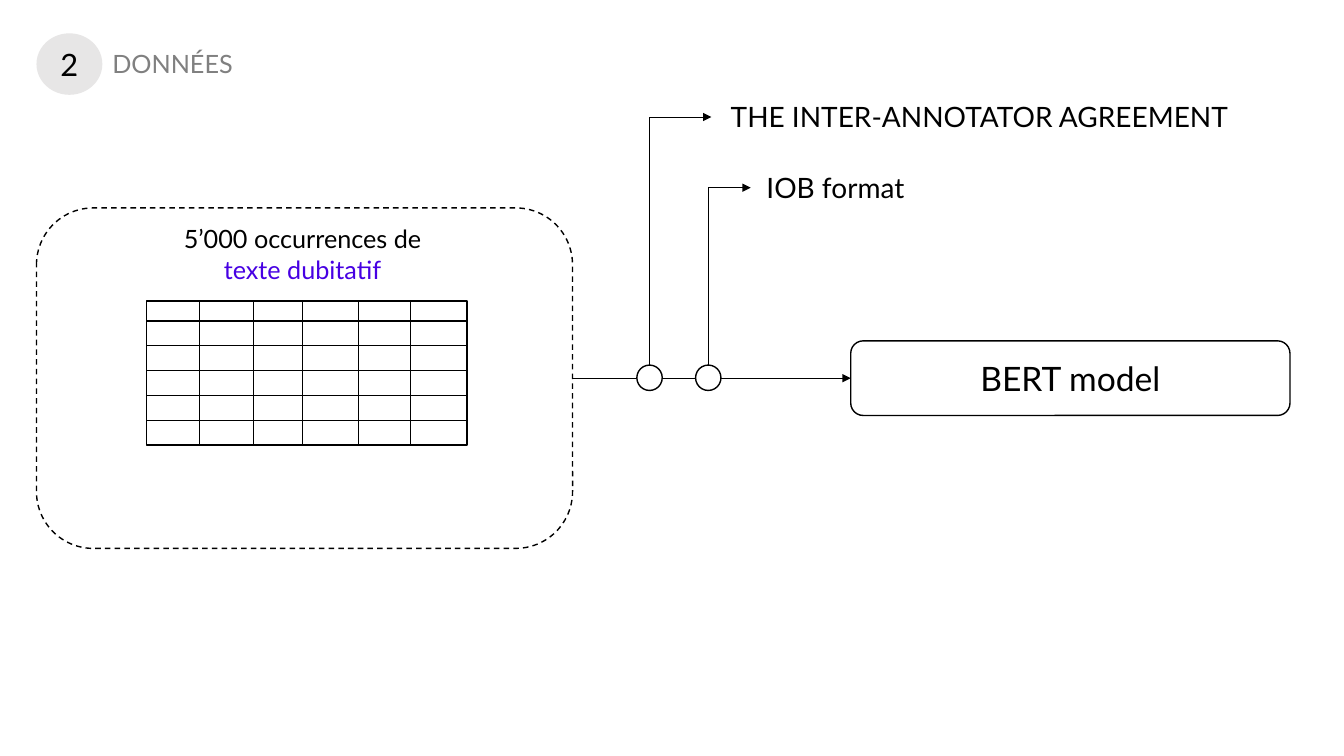
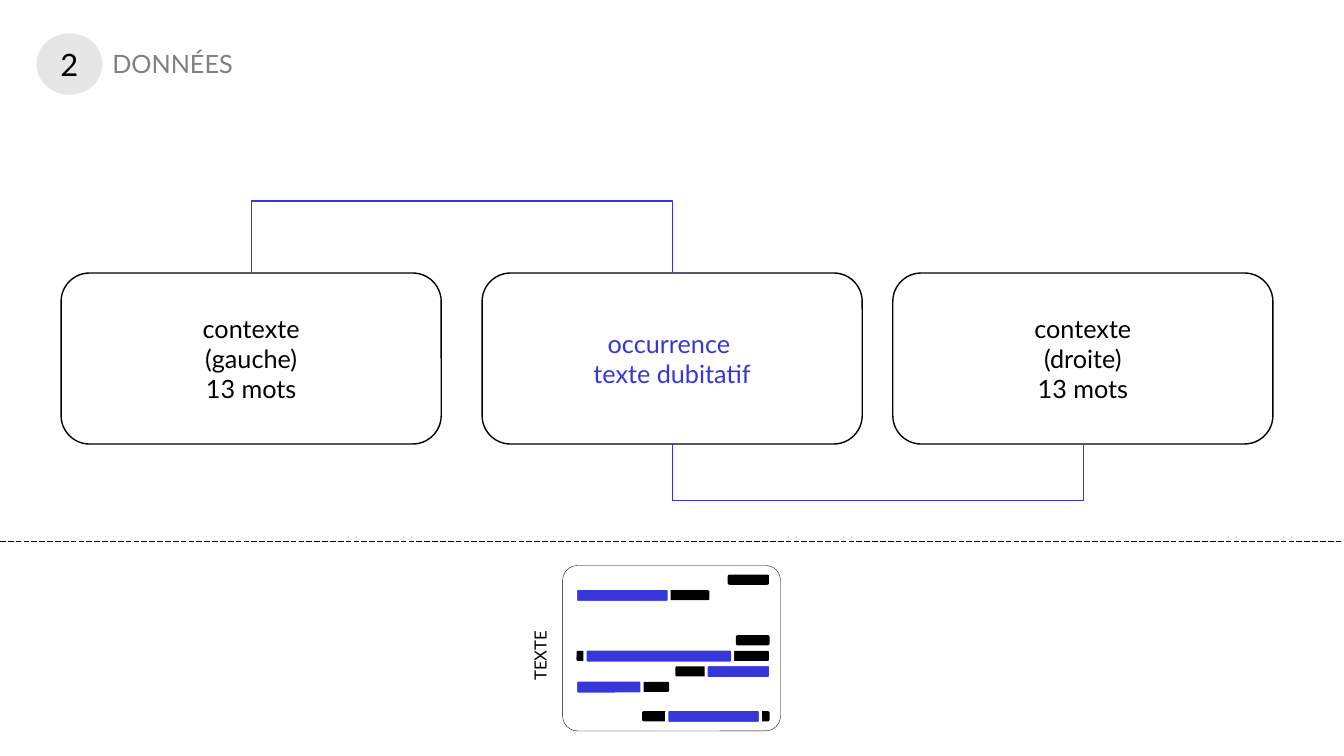
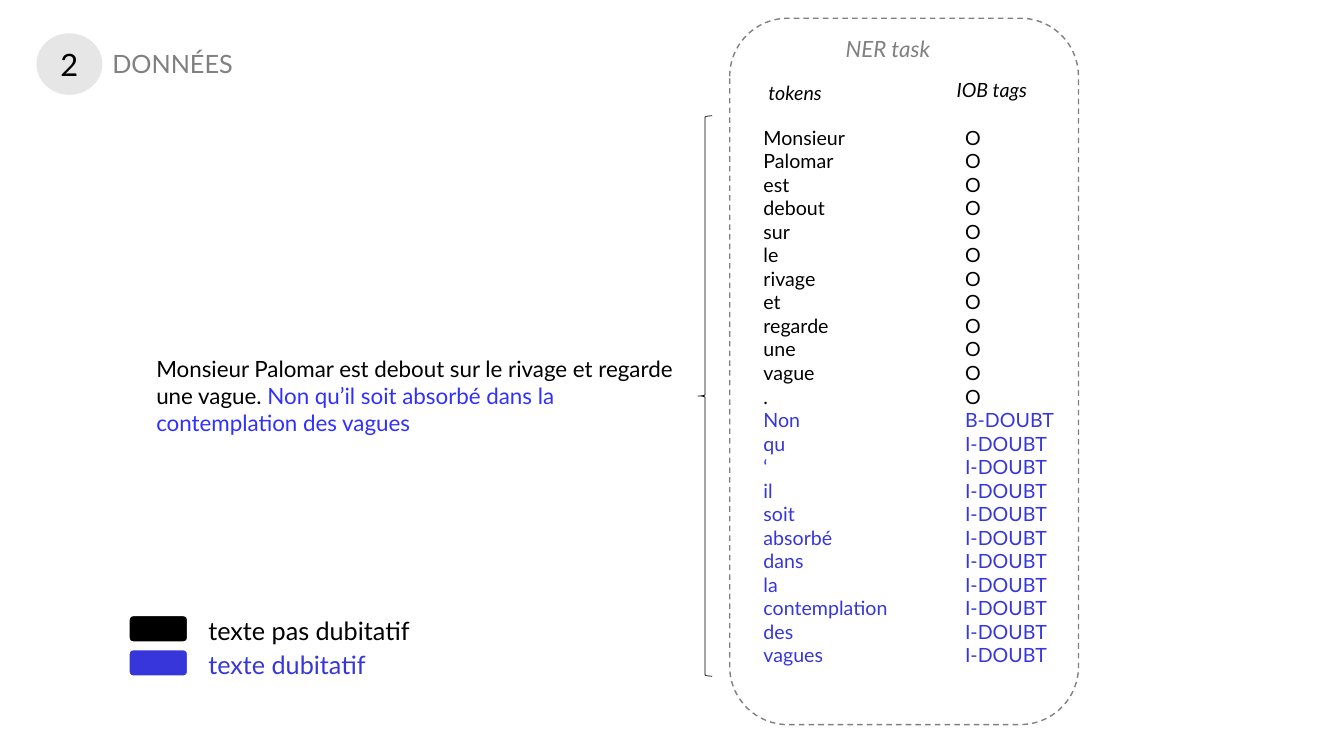
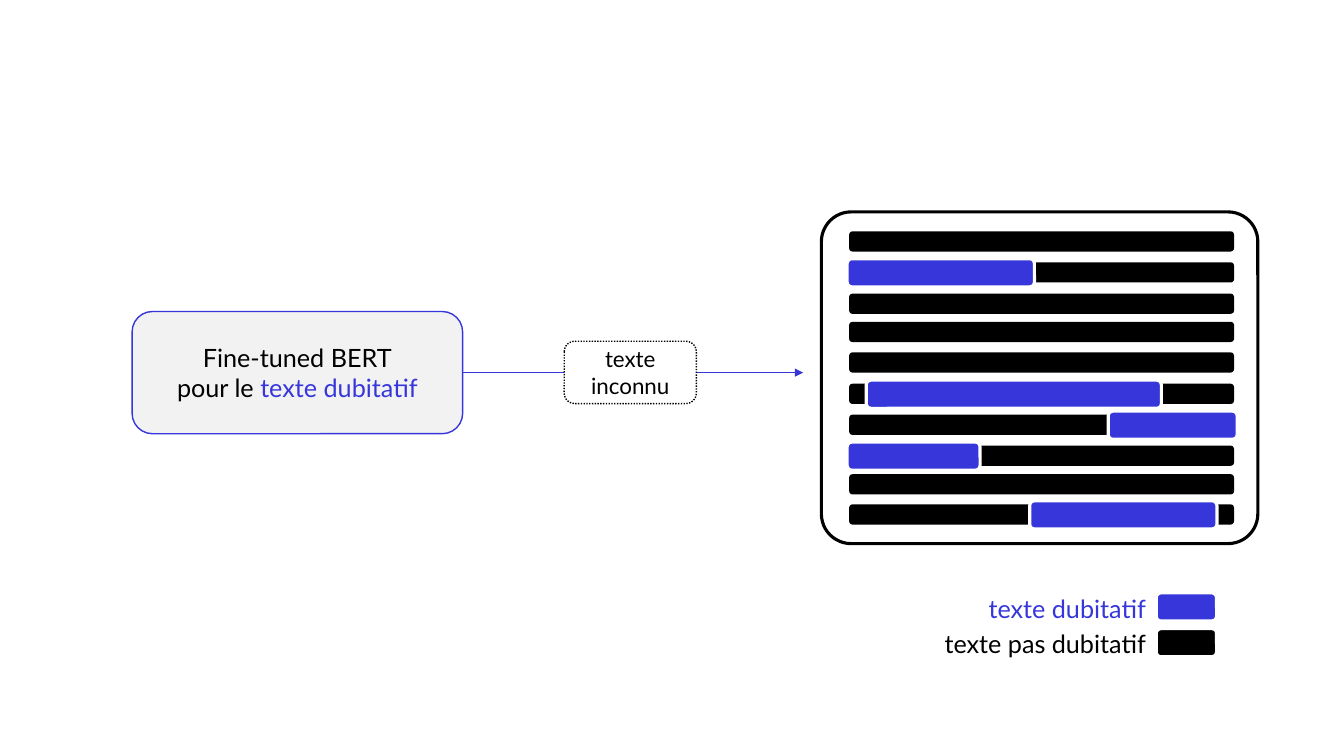
from lxml.etree import SubElement
from pptx import Presentation
from pptx.dml.color import RGBColor
from pptx.enum.dml import MSO_LINE
from pptx.enum.shapes import MSO_CONNECTOR, MSO_SHAPE
from pptx.enum.text import PP_ALIGN
from pptx.oxml.ns import qn
from pptx.util import Cm, Pt

BLACK = RGBColor(0x00, 0x00, 0x00)
WHITE = RGBColor(0xFF, 0xFF, 0xFF)
GREY = RGBColor(0x80, 0x80, 0x80)
DISC = RGBColor(0xE7, 0xE6, 0xE6)
PALE = RGBColor(0xF2, 0xF2, 0xF2)
BLUE = RGBColor(0x36, 0x36, 0xDB)
VIOLET = RGBColor(0x47, 0x00, 0xE3)
BRIGHT = RGBColor(0x30, 0x30, 0xFF)
FONT = "Lato"
ROUND, OVAL, RECT = MSO_SHAPE.ROUNDED_RECTANGLE, MSO_SHAPE.OVAL, MSO_SHAPE.RECTANGLE
STRAIGHT, ELBOW = MSO_CONNECTOR.STRAIGHT, MSO_CONNECTOR.ELBOW
LEFT, MID, RIGHT = PP_ALIGN.LEFT, PP_ALIGN.CENTER, PP_ALIGN.RIGHT


def box(slide, kind, x, y, w, h, text="", size=18, ink=BLACK, tint=BLUE, align=MID,
        italic=False, fill=None, line=None, width=1, dash=None):
    """Add a shape, or a text box if kind is None; text after a | takes the tint."""
    area = Cm(x), Cm(y), Cm(w), Cm(h)
    if kind is None:
        shape = slide.shapes.add_textbox(*area)
    else:
        shape = slide.shapes.add_shape(kind, *area)
        shape.shadow.inherit = False
        if fill is None:
            shape.fill.background()
        else:
            shape.fill.solid()
            shape.fill.fore_color.rgb = fill
        if line is None:
            shape.line.fill.background()
        else:
            shape.line.color.rgb = line
            shape.line.width = Pt(width)
            if dash:
                shape.line.dash_style = dash
    frame = shape.text_frame
    frame.word_wrap = True
    frame.text = text
    for para in frame.paragraphs:
        head, bar, tail = para.text.partition("|")
        para.alignment = align
        if bar:
            para.text = head
            para.add_run().text = tail
        for i, run in enumerate(para.runs):
            run.font.name = FONT
            run.font.size = Pt(size)
            run.font.italic = italic
            run.font.color.rgb = tint if i else ink
    return shape


def wire(slide, kind, x1, y1, x2, y2, color=BLACK, width=0.5, arrow=None):
    """Add a connector; arrow is headEnd or tailEnd."""
    link = slide.shapes.add_connector(kind, Cm(x1), Cm(y1), Cm(x2), Cm(y2))
    link.line.color.rgb = color
    link.line.width = Pt(width)
    if arrow:
        SubElement(link.line._get_or_add_ln(), qn("a:" + arrow), type="triangle")
    SubElement(link._element.spPr, qn("a:effectLst"))
    return link


deck = Presentation()
deck.slide_width, deck.slide_height = Cm(33.87), Cm(19.05)
flow, parts, task, final = [deck.slides.add_slide(deck.slide_layouts[6]) for _ in range(4)]

# Section header
for slide in (flow, parts, task):
    box(slide, OVAL, 0.92, 0.84, 1.66, 1.55, "2", 22, fill=DISC)
    box(slide, None, 2.58, 1.09, 4.06, 1.02, "DONNÉES", ink=GREY, align=LEFT)

# Slide 1: from the data to the model
data = box(flow, ROUND, 0.92, 5.24, 13.51, 8.58, line=BLACK, dash=MSO_LINE.DASH)
box(flow, None, 3.74, 5.51, 7.77, 1.8, "5’000 occurrences de |texte dubitatif", tint=VIOLET)

# Sheet of data: a frame, a header rule, then columns and rows
left, top, wide, high = 3.69, 7.59, 8.08, 3.63
box(flow, RECT, left, top, wide, high, line=BLACK)
wire(flow, STRAIGHT, left, 8.08, left + wide, 8.08, width=1.5)
for x in (5.03, 6.38, 7.62, 9.04, 10.34):
    wire(flow, STRAIGHT, x, top, x, top + high)
for row in range(4):
    y = 8.71 + 0.63 * row
    wire(flow, STRAIGHT, left, y, left + wide, y, width=0.25)

model = box(flow, ROUND, 21.44, 8.59, 11.07, 1.88, "BERT model", 24, line=BLACK)
link = wire(flow, STRAIGHT, 14.43, 9.53, 21.44, 9.53, arrow="tailEnd")
link.begin_connect(data, 3)
link.end_connect(model, 1)

for x, left, top, w, text in [
    (16.05, 17.93, 2.39, 13.51, "THE INTER-ANNOTATOR AGREEMENT"),
    (17.53, 18.92, 4.17, 4.27, "IOB format"),
]:
    dot = box(flow, OVAL, x, 9.2, 0.64, 0.64, fill=WHITE, line=BLACK)
    label = box(flow, None, left, top, w, 1.12, text, 20)
    link = wire(flow, ELBOW, left, top + 0.56, x + 0.32, 9.2, arrow="headEnd")
    link._element.spPr.prstGeom.set("prst", "bentConnector2")
    link.begin_connect(label, 1)
    link.end_connect(dot, 0)

# Slide 2: an occurrence and its context
for x, ink, text in [
    (1.54, BLACK, "contexte\n(gauche)\n13 mots"),
    (12.15, BLUE, "occurrence \ntexte dubitatif"),
    (22.5, BLACK, "contexte\n(droite)\n13 mots"),
]:
    box(parts, ROUND, x, 6.88, 9.58, 4.31, text, ink=ink, fill=WHITE, line=BLACK)

for edge, far, end, width in [(6.88, 5.07, 6.34, 1), (11.19, 12.6, 27.3, 0.5)]:
    pen = parts.shapes.build_freeform(Cm(16.95), Cm(edge))
    pen.add_line_segments([(Cm(16.95), Cm(far)), (Cm(end), Cm(far)), (Cm(end), Cm(edge))],
                          close=False)
    fork = pen.convert_to_shape()
    fork.shadow.inherit = False
    fork.fill.background()
    fork.line.color.rgb = BLUE
    fork.line.width = Pt(width)

rule = wire(parts, STRAIGHT, 0, 13.64, 33.87, 13.64)
rule.line.dash_style = MSO_LINE.LONG_DASH
side = box(parts, None, 13.23, 15.65, 1.02, 1.75, "TEXTE", 12)
side.text_frame.word_wrap = False
side.text_frame._txBody.bodyPr.set("vert", "vert270")
page = box(parts, ROUND, 14.18, 14.25, 5.49, 4.17, fill=WHITE, line=BLACK, width=0.25)
page.adjustments[0] = 0.09

# Slide 3: tokens and tags
box(task, None, 3.69, 8.83, 14, 2.31,
    "Monsieur Palomar est debout sur le rivage et regarde une vague. "
    "|Non qu’il soit absorbé dans la contemplation des vagues",
    16, tint=BRIGHT, align=LEFT)
box(task, MSO_SHAPE.LEFT_BRACE, 17.59, 2.92, 0.36, 14.12, line=BLACK, width=0.5)
box(task, ROUND, 18.39, 0.46, 8.79, 17.8, line=GREY, dash=MSO_LINE.DASH)
box(task, None, 21.06, 0.76, 2.84, 0.94, "NER task", 16, GREY, align=LEFT, italic=True)
box(task, None, 19, 1.92, 2.08, 0.86, "tokens", 14, italic=True)
box(task, None, 23.75, 1.85, 2.49, 0.86, "IOB tags", 14, italic=True)

plain = "Monsieur Palomar est debout sur le rivage et regarde une vague .".split()
doubt = "Non qu ‘ il soit absorbé dans la contemplation des vagues".split()
tags = ["O"] * len(plain) + ["B-DOUBT"] + ["I-DOUBT"] * (len(doubt) - 1)
text = "\n".join(f"{word}\t{tag}" for word, tag in zip(plain + doubt, tags))
words = box(task, None, 18.99, 3.04, 8.79, 14.02, text, 14, align=LEFT)
for i, para in enumerate(words.text_frame.paragraphs):
    stops = SubElement(para._p.get_or_add_pPr(), qn("a:tabLst"))
    SubElement(stops, qn("a:tab"), pos=str(Cm(5.08)), algn="l")
    if i >= len(plain):
        for run in para.runs:
            run.font.color.rgb = BLUE

# Slide 4: the tuned model reads a new text
tuned = box(final, ROUND, 3.33, 7.85, 8.33, 3.08,
            "Fine-tuned BERT\npour le |texte dubitatif", fill=PALE, line=BLUE)
link = wire(final, STRAIGHT, 11.66, 9.39, 20.24, 9.39, BLUE, arrow="tailEnd")
link.begin_connect(tuned, 3)
box(final, ROUND, 14.22, 8.6, 3.33, 1.57, "texte\ninconnu", 16,
    fill=WHITE, line=BLACK, dash=MSO_LINE.ROUND_DOT)
page = box(final, ROUND, 20.7, 5.34, 11, 8.36, fill=WHITE, line=BLACK, width=2.25)
page.adjustments[0] = 0.09

# Lines of text as bars (row, offset, width), the doubtful parts in blue
tops = [0, 0.78, 1.57, 2.28, 3.05, 3.84, 4.62, 5.4, 6.12, 6.88]
whole = [(row, 0, 9.7) for row in range(len(tops))]
near = [(0, 7.62, 2.08), (1, 0, 6.7), (4, 8.03, 1.7), (5, 0, 9.7),
        (6, 4.98, 4.75), (7, 0, 4.67), (9, 3.3, 6.43)]
marks = [(1, -0.05, 4.72), (5, 0.43, 7.44), (6, 6.53, 3.25), (7, -0.05, 3.35), (9, 4.55, 4.72)]
for slide, x, y, scale, bars in [(parts, 14.53, 14.48, 0.5, near), (final, 21.4, 5.83, 1, whole)]:
    for row, dx, w in bars:
        box(slide, ROUND, x + dx * scale, y + tops[row] * scale, w * scale, 0.51 * scale,
            fill=BLACK)
    for row, dx, w in marks:
        box(slide, ROUND, x + dx * scale, y + (tops[row] - 0.09) * scale, w * scale,
            0.71 * scale, fill=BLUE, line=WHITE, width=2.25)

# Legends
for slide, x, left, align, low, high in [
    (task, 3.23, 5, LEFT, 16.23, 15.37),
    (final, 29.14, 22.86, RIGHT, 14.82, 15.72),
]:
    for y, ink, text in [(low, BLUE, "texte dubitatif"), (high, BLACK, "texte pas dubitatif")]:
        box(slide, ROUND, x, y + 0.12, 1.52, 0.71, fill=ink, line=WHITE, width=2.25)
        box(slide, None, left, y, 6.27, 1.02, text, ink=ink, align=align)

deck.save("out.pptx")
